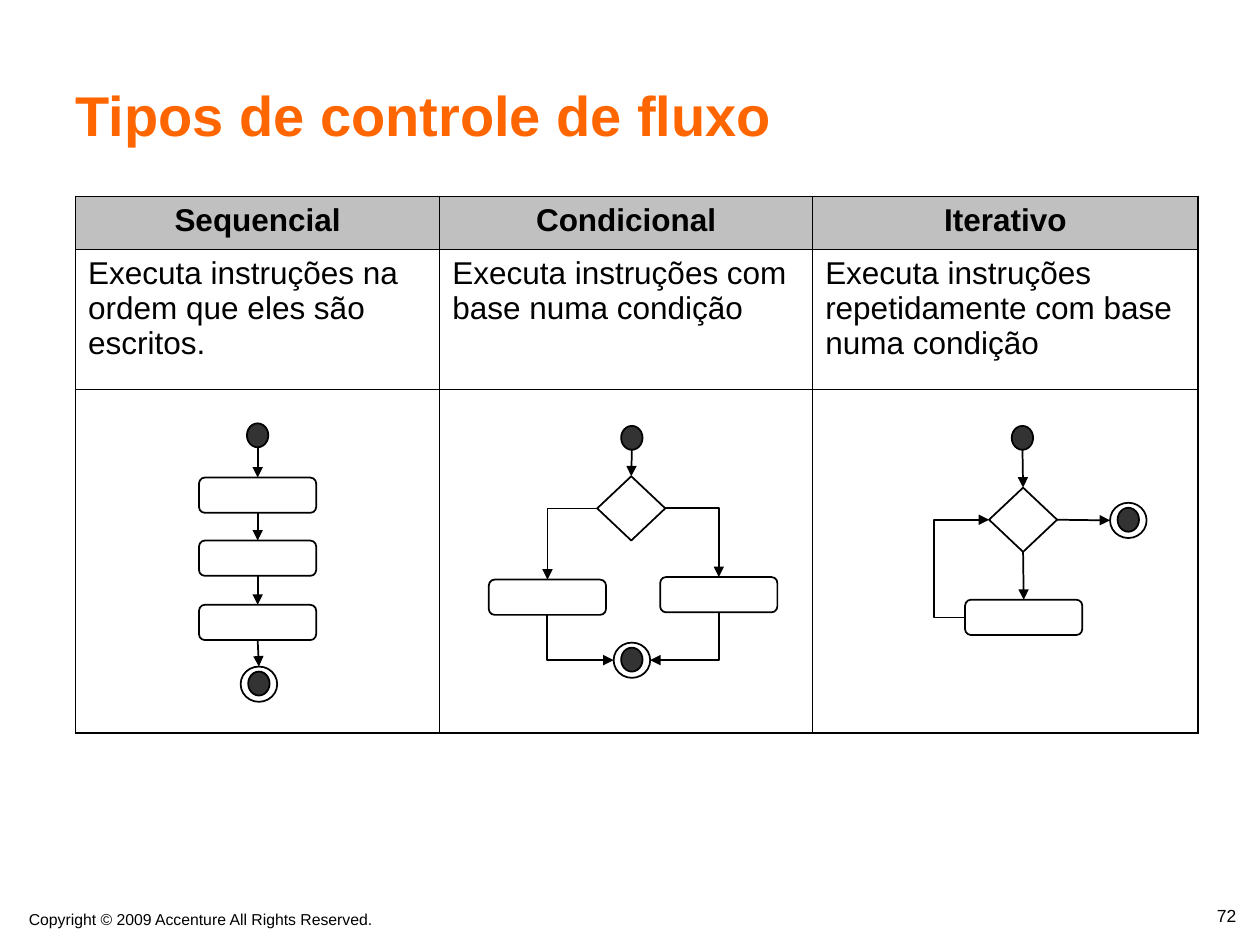
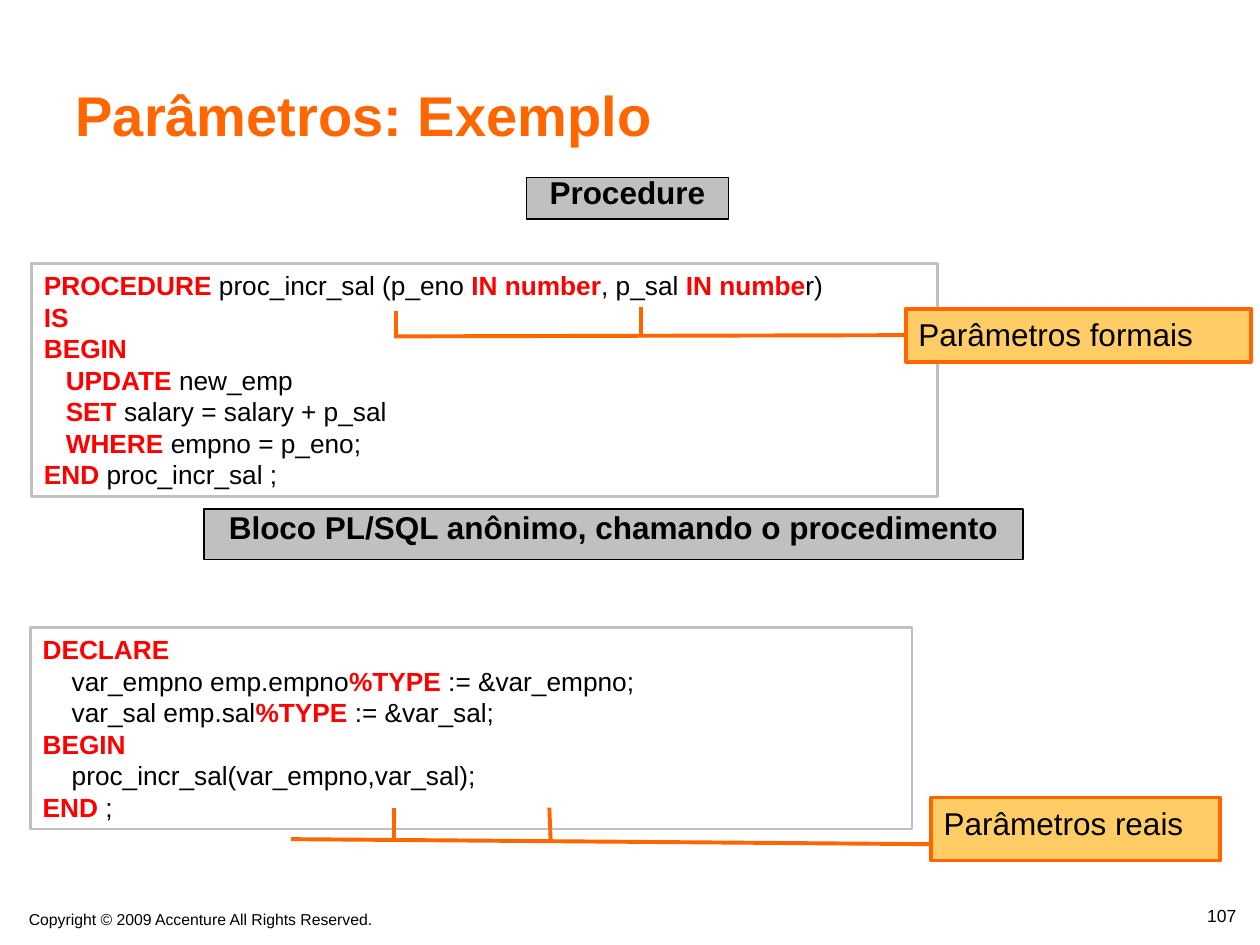
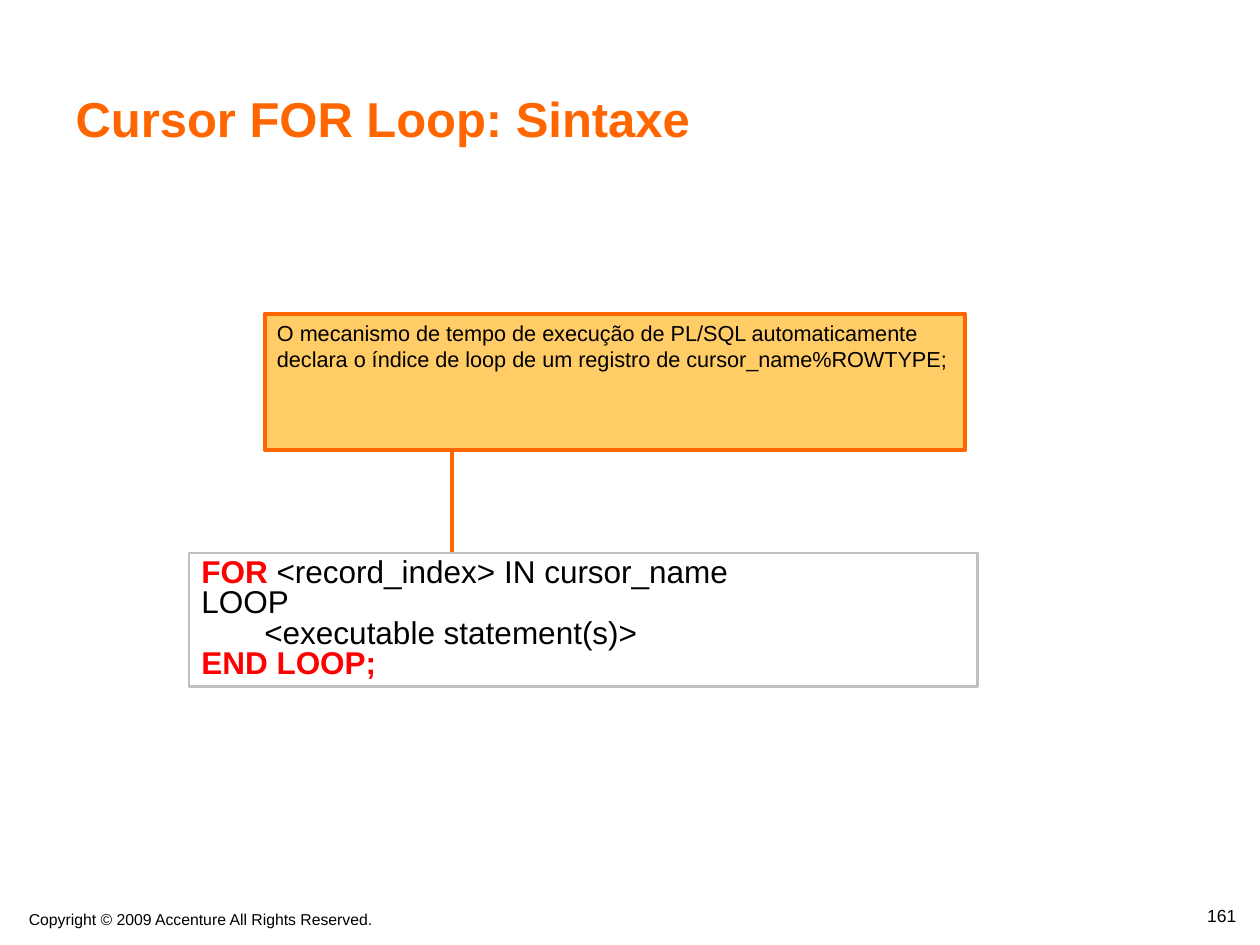
"""Build three PL/SQL training slides: control flow, parameters and cursor loops."""
import pptx
import pptx.util
import pptx.dml.color
import pptx.enum.shapes
import pptx.enum.text
import pptx.oxml.ns
import pptx.oxml.xmlchemy

Inches = pptx.util.Inches
Pt = pptx.util.Pt
KIND = pptx.enum.shapes.MSO_SHAPE
WIRE = pptx.enum.shapes.MSO_CONNECTOR
ALIGN = pptx.enum.text.PP_ALIGN
ANCHOR = pptx.enum.text.MSO_ANCHOR
qn = pptx.oxml.ns.qn
make = pptx.oxml.xmlchemy.OxmlElement

HUES = {"title": "FF6600", "text": "000000", "key": "FF0000", "gray": "C0C0C0",
        "note": "FFCC66", "dot": "333333"}
FONT = "Arial"
FOOTER = "Copyright © 2009 Accenture All Rights Reserved."
TOP, LEFT, BOTTOM, RIGHT = range(4)

FLOWS = [
    ("Sequencial", "Executa instruções na ordem que eles são escritos."),
    ("Condicional", "Executa instruções com base numa condição"),
    ("Iterativo", "Executa instruções repetidamente com base numa condição"),
]
COLS = (2.89, 2.96, 3.06)
ROWS = (0.42, 1.11, 2.73)

PROC = [
    "|PROCEDURE |proc_incr_sal (p_eno |IN number|, p_sal |IN numbe|r)",
    "|IS|",
    "|BEGIN|",
    "   |UPDATE| new_emp",
    "   |SET| salary = salary + p_sal",
    "   |WHERE| empno = p_eno;",
    "|END |proc_incr_sal ;",
]
BLOCK = [
    "|DECLARE|",
    "    var_empno emp.empno|%TYPE |:= &var_empno;",
    "    var_sal emp.sal|%TYPE |:= &var_sal;",
    "|BEGIN|",
    "    proc_incr_sal(var_empno,var_sal);",
    "|END| ;",
]
LOOP = [
    "|FOR |<record_index> IN cursor_name",
    "LOOP",
    "\t<executable statement(s)>",
    "|END LOOP;|",
]
RULE = ("O mecanismo de tempo de execução de PL/SQL automaticamente declara o índice "
        "de loop de um registro de cursor_name%ROWTYPE;")


def hue(name):
    return pptx.dml.color.RGBColor.from_string(HUES[name])


def style(font, size, color="text", bold=False):
    for key, val in {"name": FONT, "size": Pt(size), "bold": bold}.items():
        setattr(font, key, val)
    font.color.rgb = hue(color)


def write(frame, lines, size, bold=False, color="text", align=ALIGN.LEFT, space=None):
    """Fill a frame; text between bars is a bold keyword."""
    for row, line in enumerate(lines):
        para = frame.add_paragraph() if row else frame.paragraphs[0]
        para.alignment = align
        if space:
            para.line_spacing = space
        for part, text in enumerate(line.split("|")):
            if text:
                run = para.add_run()
                run.text = text
                key = part % 2 == 1
                style(run.font, size, "key" if key else color, bold or key)


def label(slide, area, text, size, align=ALIGN.LEFT):
    frame = slide.shapes.add_textbox(*map(Inches, area)).text_frame
    frame.word_wrap = True
    write(frame, [text], size, align=align)


def start(deck, title, page, size=32):
    slide = deck.slides.add_slide(deck.slide_layouts[5])
    head = slide.shapes.title
    area = (0.5, 0.22, 8.92, 1)
    for key, val in zip(("left", "top", "width", "height"), area):
        setattr(head, key, Inches(val))
    frame = head.text_frame
    frame.auto_size = pptx.enum.text.MSO_AUTO_SIZE.NONE
    frame.vertical_anchor = ANCHOR.BOTTOM
    write(frame, [title], size, True, "title")
    label(slide, (0.13, 7.17, 3.72, 0.25), FOOTER, 9)
    label(slide, (7.58, 7.13, 2.33, 0.3), str(page), 10, ALIGN.RIGHT)
    return slide


def shape(slide, kind, area, fill=None, edge="text", width=1):
    item = slide.shapes.add_shape(kind, *map(Inches, area))
    item.shadow.inherit = False
    if fill:
        item.fill.solid()
        item.fill.fore_color.rgb = hue(fill)
    else:
        item.fill.background()
    item.line.color.rgb = hue(edge)
    item.line.width = Pt(width)
    return item


def panel(slide, area, lines, size, look, space=None):
    fill, edge, width, anchor, align, bold = {
        "code": (None, "gray", 1.5, ANCHOR.MIDDLE, ALIGN.LEFT, False),
        "note": ("note", "title", 2.25, ANCHOR.TOP, ALIGN.LEFT, False),
        "head": ("gray", "text", 0.75, ANCHOR.TOP, ALIGN.CENTER, True),
    }[look]
    item = shape(slide, KIND.RECTANGLE, area, fill, edge, width)
    item.text_frame.word_wrap = True
    item.text_frame.vertical_anchor = anchor
    write(item.text_frame, lines, size, bold, align=align, space=space)
    return item


def wire(slide, ends, color="title", width=2.25, kind=WIRE.STRAIGHT):
    line = slide.shapes.add_connector(kind, *map(Inches, ends))
    line.line.color.rgb = hue(color)
    line.line.width = Pt(width)
    line._element.spPr.append(make("a:effectLst"))
    return line


def link(slide, a, out, b, into, bend=None, back=False, shift=None):
    """Join two nodes with an arrow, at the end or, if back, at the start."""
    kind = WIRE.ELBOW if bend else WIRE.STRAIGHT
    line = wire(slide, (0, 0, 0, 0), "text", 1, kind)
    line.begin_connect(a, out)
    line.end_connect(b, into)
    root = line._element
    for tag, node, side in (("a:stCxn", a, out), ("a:endCxn", b, into)):
        if node.auto_shape_type == KIND.FLOWCHART_CONNECTOR:
            root.find(".//" + qn(tag)).set("idx", str(side * 2))
    tip = make("a:headEnd" if back else "a:tailEnd")
    tip.set("type", "triangle")
    root.find(".//" + qn("a:ln")).append(tip)
    if bend:
        geom = root.find(".//" + qn("a:prstGeom"))
        geom.set("prst", bend)
        if shift is not None:
            guide = make("a:gd")
            guide.set("name", "adj1")
            guide.set("fmla", f"val {shift}")
            geom.get_or_add_avLst().append(guide)


def step(slide, x, y):
    return shape(slide, KIND.ROUNDED_RECTANGLE, (x, y, 0.93, 0.28))


def dot(slide, x, y):
    return shape(slide, KIND.FLOWCHART_CONNECTOR, (x, y, 0.17, 0.19), "dot")


def stop(slide, x, y):
    dot(slide, x + 0.06, y + 0.04)
    return shape(slide, KIND.FLOWCHART_CONNECTOR, (x, y, 0.29, 0.28))


def choice(slide, x, y):
    return shape(slide, KIND.DIAMOND, (x, y, 0.54, 0.51))


def border(cell, row, col):
    outer = {"L": col == 0, "R": col == len(COLS) - 1,
             "T": row == 0, "B": row == len(ROWS) - 1}
    props = cell._tc.get_or_add_tcPr()
    for side, edge in outer.items():
        line = make(f"a:ln{side}")
        line.set("w", str(int(Pt(1.08 if edge else 0.45))))
        fill = make("a:solidFill")
        color = make("a:srgbClr")
        color.set("val", HUES["text"])
        fill.append(color)
        line.append(fill)
        props.append(line)


def grid(slide):
    area = (0.6, 1.56, sum(COLS), sum(ROWS))
    table = slide.shapes.add_table(len(ROWS), len(COLS), *map(Inches, area)).table
    table.first_row = table.horz_banding = False
    for row, high in enumerate(ROWS):
        table.rows[row].height = Inches(high)
        for col, wide in enumerate(COLS):
            table.columns[col].width = Inches(wide)
            cell = table.cell(row, col)
            border(cell, row, col)
            head = row == 0
            if head:
                cell.fill.solid()
                cell.fill.fore_color.rgb = hue("gray")
            else:
                cell.fill.background()
            if row < 2:
                write(cell.text_frame, [FLOWS[col][row]], 18, head,
                      align=ALIGN.CENTER if head else ALIGN.LEFT)


def flows(deck):
    slide = start(deck, "Tipos de controle de fluxo", 72)
    grid(slide)

    chain = [dot(slide, 1.96, 3.36)]
    chain += [step(slide, 1.58, y) for y in (3.79, 4.29, 4.8)]
    chain.append(stop(slide, 1.91, 5.29))
    for a, b in zip(chain, chain[1:]):
        link(slide, a, BOTTOM, b, TOP)

    test, end = choice(slide, 4.74, 3.78), stop(slide, 4.87, 5.1)
    link(slide, dot(slide, 4.93, 3.38), BOTTOM, test, TOP)
    for x, y, side in ((3.88, 4.6, LEFT), (5.24, 4.58, RIGHT)):
        task = step(slide, x, y)
        link(slide, test, side, task, TOP, "bentConnector2")
        link(slide, end, side, task, BOTTOM, "bentConnector2", back=True)

    test, task = choice(slide, 7.85, 3.87), step(slide, 7.66, 4.76)
    link(slide, dot(slide, 8.03, 3.38), BOTTOM, test, TOP)
    link(slide, test, RIGHT, stop(slide, 8.81, 3.99), LEFT)
    link(slide, test, BOTTOM, task, TOP)
    link(slide, task, LEFT, test, LEFT, "bentConnector3", shift=-128700)


def params(deck):
    slide = start(deck, "Parâmetros: Exemplo", 107)
    panel(slide, (4.18, 1.41, 1.6, 0.33), ["Procedure"], 18, "head", 0.7)
    panel(slide, (0.25, 2.09, 7.19, 1.85), PROC, 15, "code")
    formal = panel(slide, (7.19, 2.45, 2.74, 0.42), ["Parâmetros formais"], 18, "note")
    wire(slide, (7.19, 2.66, 3.13, 2.67)).begin_connect(formal, LEFT)
    panel(slide, (0.24, 4.98, 7, 1.6), BLOCK, 15, "code")
    panel(slide, (1.62, 4.04, 6.5, 0.4),
          ["Bloco PL/SQL anônimo, chamando o procedimento"], 18, "head", 0.8)
    panel(slide, (7.39, 6.33, 2.29, 0.5), ["Parâmetros reais"], 18, "note")
    for ends in ((5.09, 2.67, 5.09, 2.44), (3.14, 2.68, 3.14, 2.47),
                 (7.4, 6.7, 2.31, 6.66), (4.37, 6.66, 4.36, 6.41),
                 (3.13, 6.68, 3.13, 6.41)):
        wire(slide, ends)


def cursor(deck):
    slide = start(deck, "Cursor FOR Loop: Sintaxe", 161, 28)
    panel(slide, (1.5, 4.39, 6.26, 1.06), LOOP, 18, "code", 0.8)
    panel(slide, (2.1, 2.49, 5.56, 1.08), [RULE], 12.4, "note")
    wire(slide, (3.59, 4.38, 3.59, 3.57))


def main():
    deck = pptx.Presentation()
    deck.slide_width, deck.slide_height = Inches(10), Inches(7.5)
    for build in (flows, params, cursor):
        build(deck)
    deck.save("out.pptx")


if __name__ == "__main__":
    main()
